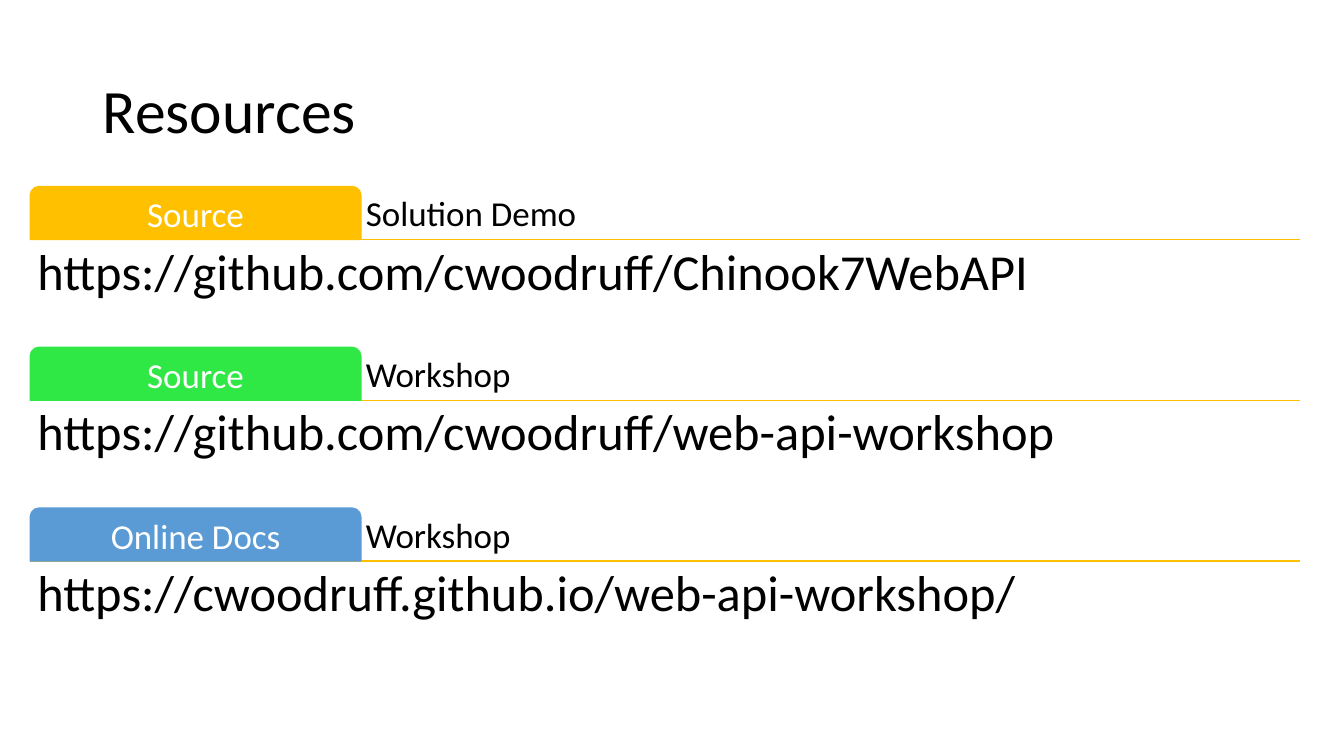
from lxml import etree
from pptx import Presentation
from pptx import util as u
from pptx.dml.color import RGBColor
from pptx.enum import shapes, text
from pptx.oxml.ns import qn

BLACK = RGBColor(0x00, 0x00, 0x00)
WHITE = RGBColor(0xFF, 0xFF, 0xFF)
GOLD = RGBColor(0xFF, 0xC0, 0x00)
GREEN = RGBColor(0x30, 0xE8, 0x45)
BLUE = RGBColor(0x5B, 0x9B, 0xD5)

# Layout, in percent of the slide's width or height
LEFT, WIDTH, TAB_WIDTH = 2.25, 94.5, 24.6
TOP, PITCH, TAB_HEIGHT, LINK_HEIGHT = 24.67, 21.27, 7, 14

RESOURCES = [
    ("Source", GOLD, "Solution Demo", "https://github.com/cwoodruff/Chinook7WebAPI"),
    ("Source", GREEN, "Workshop", "https://github.com/cwoodruff/web-api-workshop"),
    ("Online Docs", BLUE, "Workshop", "https://cwoodruff.github.io/web-api-workshop/"),
]


class ResourceSlide:
    font_name = "Calibri"

    def __init__(self, presentation):
        self.width = presentation.slide_width
        self.height = presentation.slide_height
        self.slide = presentation.slides.add_slide(presentation.slide_layouts[5])

    def place(self, *percents):
        sides = (self.width, self.height) * 2
        return [round(side * percent / 100) for side, percent in zip(sides, percents)]

    def set_text(self, shape, words, size, color, anchor, insets=(0.1, 0.05, 0.1, 0.05),
                 alignment=text.PP_ALIGN.LEFT):
        frame = shape.text_frame
        left, top, right, bottom = map(u.Inches, insets)
        frame_format = {"word_wrap": True, "auto_size": text.MSO_AUTO_SIZE.NONE,
                        "vertical_anchor": anchor, "margin_left": left,
                        "margin_top": top, "margin_right": right,
                        "margin_bottom": bottom}
        for name, value in frame_format.items():
            setattr(frame, name, value)
        paragraph = frame.paragraphs[0]
        paragraph.text = words
        paragraph.alignment = alignment
        paragraph.line_spacing = 0.9
        for name, value in {"name": self.font_name, "size": u.Pt(size)}.items():
            setattr(paragraph.font, name, value)
        paragraph.font.color.rgb = color

    def title(self, words, *box):
        shape = self.slide.shapes.title
        shape.left, shape.top, shape.width, shape.height = self.place(*box)
        self.set_text(shape, words, 44, BLACK, text.MSO_ANCHOR.MIDDLE)

    def rule(self, left, top, width):
        x, y, length, _ = self.place(left, top, width, 0)
        line = self.slide.shapes.add_connector(
            shapes.MSO_CONNECTOR.STRAIGHT, x, y, x + length, y)
        line.line.color.rgb = GOLD
        line.line.width = u.Pt(1)
        etree.SubElement(line._element.spPr, qn("a:effectLst"))

    def tab(self, words, color, *box):
        shape = self.slide.shapes.add_shape(
            shapes.MSO_SHAPE.ROUND_2_SAME_RECTANGLE, *self.place(*box))
        shape.adjustments[0] = 0.167
        shape.adjustments[1] = 0
        shape.shadow.inherit = False
        shape.fill.solid()
        shape.fill.fore_color.rgb = color
        shape.line.color.rgb = color
        shape.line.width = u.Pt(1)
        self.set_text(shape, words, 25, WHITE, text.MSO_ANCHOR.MIDDLE,
                      (0.05, 0.07, 0.05, 0.03), text.PP_ALIGN.CENTER)

    def label(self, words, size, anchor, inset, *box):
        shape = self.slide.shapes.add_textbox(*self.place(*box))
        self.set_text(shape, words, size, BLACK, anchor, (inset,) * 4)


def main():
    presentation = Presentation()
    presentation.slide_width = u.Inches(13.33)
    presentation.slide_height = u.Inches(7.5)
    page = ResourceSlide(presentation)
    page.title("Resources", 6.9, 5.33, 86.25, 19.33)

    # One band per resource: rule, tab, description and link
    for index, (kind, color, description, link) in enumerate(RESOURCES):
        top = TOP + index * PITCH
        base = top + TAB_HEIGHT
        page.rule(LEFT, base, WIDTH)
        page.tab(kind, color, LEFT, top, TAB_WIDTH, TAB_HEIGHT)
        page.label(description, 25, text.MSO_ANCHOR.BOTTOM, 0.05,
                   LEFT + TAB_WIDTH, top, WIDTH - TAB_WIDTH, TAB_HEIGHT)
        page.label(link, 36, text.MSO_ANCHOR.TOP, 0.07,
                   LEFT, base, WIDTH, LINK_HEIGHT)

    presentation.save("out.pptx")


if __name__ == "__main__":
    main()
